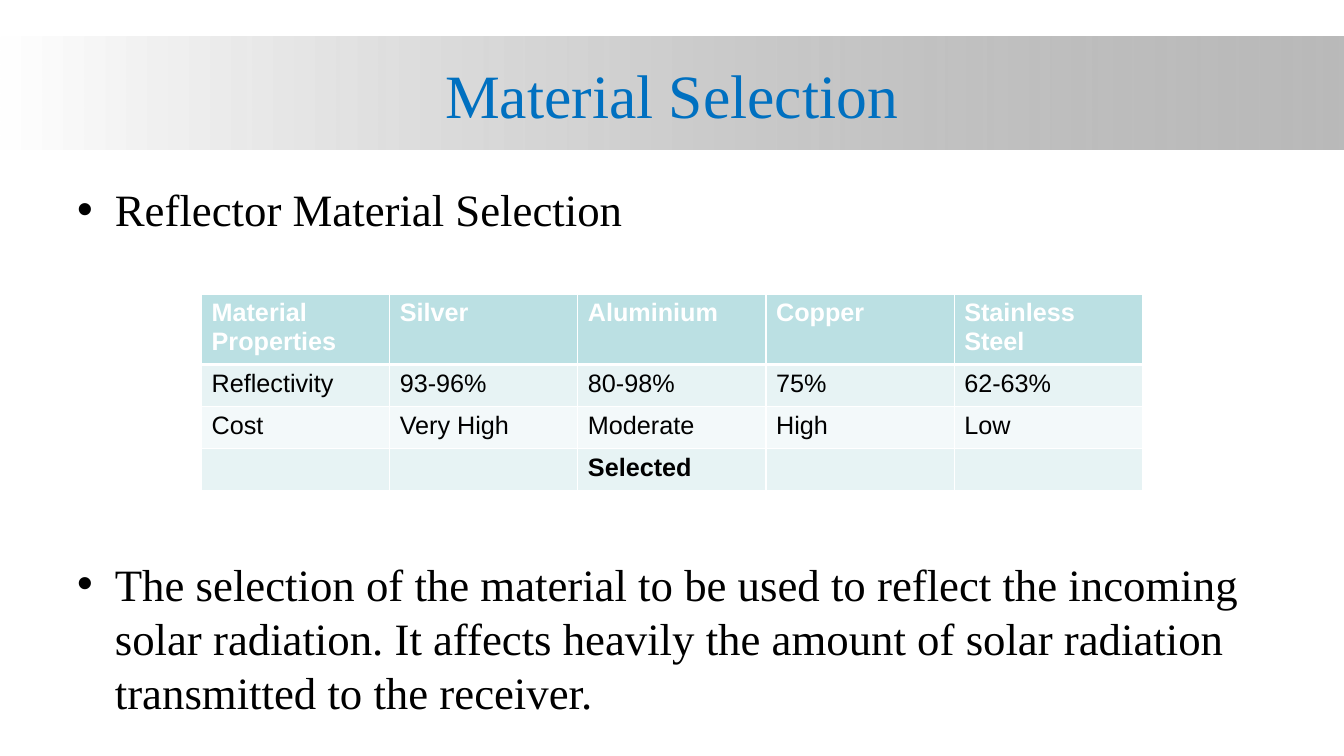
from dataclasses import dataclass

from lxml import etree
from pptx import Presentation
from pptx import util as u
from pptx.dml.color import RGBColor
from pptx.enum import shapes, text
from pptx.oxml.ns import qn

PX = 9525
WHITE = RGBColor(0xFF, 0xFF, 0xFF)
BLACK = RGBColor(0, 0, 0)
GREY = RGBColor(0x80, 0x80, 0x80)
BLUE = RGBColor(0x00, 0x70, 0xC0)
TEAL = RGBColor(0xBB, 0xE0, 0xE3)
PALE = RGBColor(0xE7, 0xF3, 0xF4)
MIST = RGBColor(0xF3, 0xF9, 0xFA)
SERIF = "Times New Roman"
SANS = "Arial"


@dataclass(frozen=True)
class Box:
    left: int
    top: int
    width: int
    height: int

    def emu(self) -> tuple:
        return tuple(n * PX for n in (self.left, self.top, self.width, self.height))


@dataclass(frozen=True)
class Point:
    words: str
    gap: int


@dataclass(frozen=True)
class Row:
    cells: tuple
    fill: RGBColor
    color: RGBColor = BLACK
    bold: tuple = ()
    above: int = 1
    below: int = 1


POINTS = (
    Point("Reflector Material Selection", 0),
    Point("The selection of the material to be used to reflect the incoming solar "
          "radiation. It affects heavily the amount of solar radiation transmitted "
          "to the receiver.", 229),
)
ROWS = (
    Row(("Material Properties", "Silver", "Aluminium", "Copper", "Stainless Steel"),
        TEAL, WHITE, bold=(0, 1, 2, 3, 4), below=3),
    Row(("Reflectivity", "93-96%", "80-98%", "75%", "62-63%"), PALE, above=3),
    Row(("Cost", "Very High", "Moderate", "High", "Low"), MIST),
    Row(("", "", "Selected", "", ""), PALE, bold=(2,)),
)


def style(font, name: str, size: int, color: RGBColor, bold: bool = False) -> None:
    font.name = name
    font.size = u.Pt(size)
    font.color.rgb = color
    font.bold = bold


def add_band(slide, box: Box) -> None:
    band = slide.shapes.add_shape(shapes.MSO_SHAPE.RECTANGLE, *box.emu())
    band.shadow.inherit = False
    band.line.fill.background()
    band.fill.gradient()
    band.fill.gradient_angle = 0
    for stop, color, spot in zip(band.fill.gradient_stops, (WHITE, GREY), (0, 1)):
        stop.color.rgb = color
        stop.position = spot
    tint = list(band._element.iter(qn("a:srgbClr")))[-1]
    etree.SubElement(tint, qn("a:alpha"), val="54000")
    slide.shapes._spTree.insert(2, band._element)


def set_title(slide, box: Box, words: str) -> None:
    title = slide.shapes.title
    title.left, title.top, title.width, title.height = box.emu()
    frame = title.text_frame
    frame.text = words
    frame.vertical_anchor = text.MSO_ANCHOR.MIDDLE
    para = frame.paragraphs[0]
    para.alignment = text.PP_ALIGN.CENTER
    style(para.runs[0].font, SERIF, 44, BLUE)


def add_points(slide, box: Box, points: tuple) -> None:
    frame = slide.shapes.add_textbox(*box.emu()).text_frame
    frame.word_wrap = True
    frame.text = "\n".join(point.words for point in points)
    for para, point in zip(frame.paragraphs, points):
        para.space_before = u.Pt(point.gap)
        para.line_spacing = u.Pt(38.6)
        style(para.runs[0].font, SERIF, 32, BLACK)
        props = para._p.get_or_add_pPr()
        props.set("marL", str(36 * PX))
        props.set("indent", str(-36 * PX))
        etree.SubElement(props, qn("a:buFont"), typeface=SANS)
        etree.SubElement(props, qn("a:buChar"), char="•")


def add_edge(cell, side: str, width: int) -> None:
    props = cell._tc.get_or_add_tcPr()
    line = etree.SubElement(props, qn(f"a:ln{side}"), w=str(u.Pt(width)))
    fill = etree.SubElement(line, qn("a:solidFill"))
    etree.SubElement(fill, qn("a:srgbClr"), val=str(WHITE))


def add_grid(slide, box: Box, rows: tuple) -> None:
    grid = slide.shapes.add_table(len(rows), len(rows[0].cells), *box.emu()).table
    for y, row in enumerate(rows):
        for x, words in enumerate(row.cells):
            cell = grid.cell(y, x)
            cell.text = words
            style(cell.text_frame.paragraphs[0].font, SANS, 18, row.color, x in row.bold)
            for run in cell.text_frame.paragraphs[0].runs:
                style(run.font, SANS, 18, row.color, x in row.bold)
            for side, width in zip("LRTB", (1, 1, row.above, row.below)):
                add_edge(cell, side, width)
            cell.fill.solid()
            cell.fill.fore_color.rgb = row.fill


def main() -> None:
    deck = Presentation()
    deck.slide_width, deck.slide_height = 1280 * PX, 720 * PX
    slide = deck.slides.add_slide(deck.slide_layouts[5])
    add_band(slide, Box(0, 35, 1280, 107))
    set_title(slide, Box(64, 29, 1152, 120), "Material Selection")
    add_points(slide, Box(64, 168, 1152, 475), POINTS)
    add_grid(slide, Box(192, 280, 896, 160), ROWS)
    deck.save("out.pptx")


if __name__ == "__main__":
    main()
